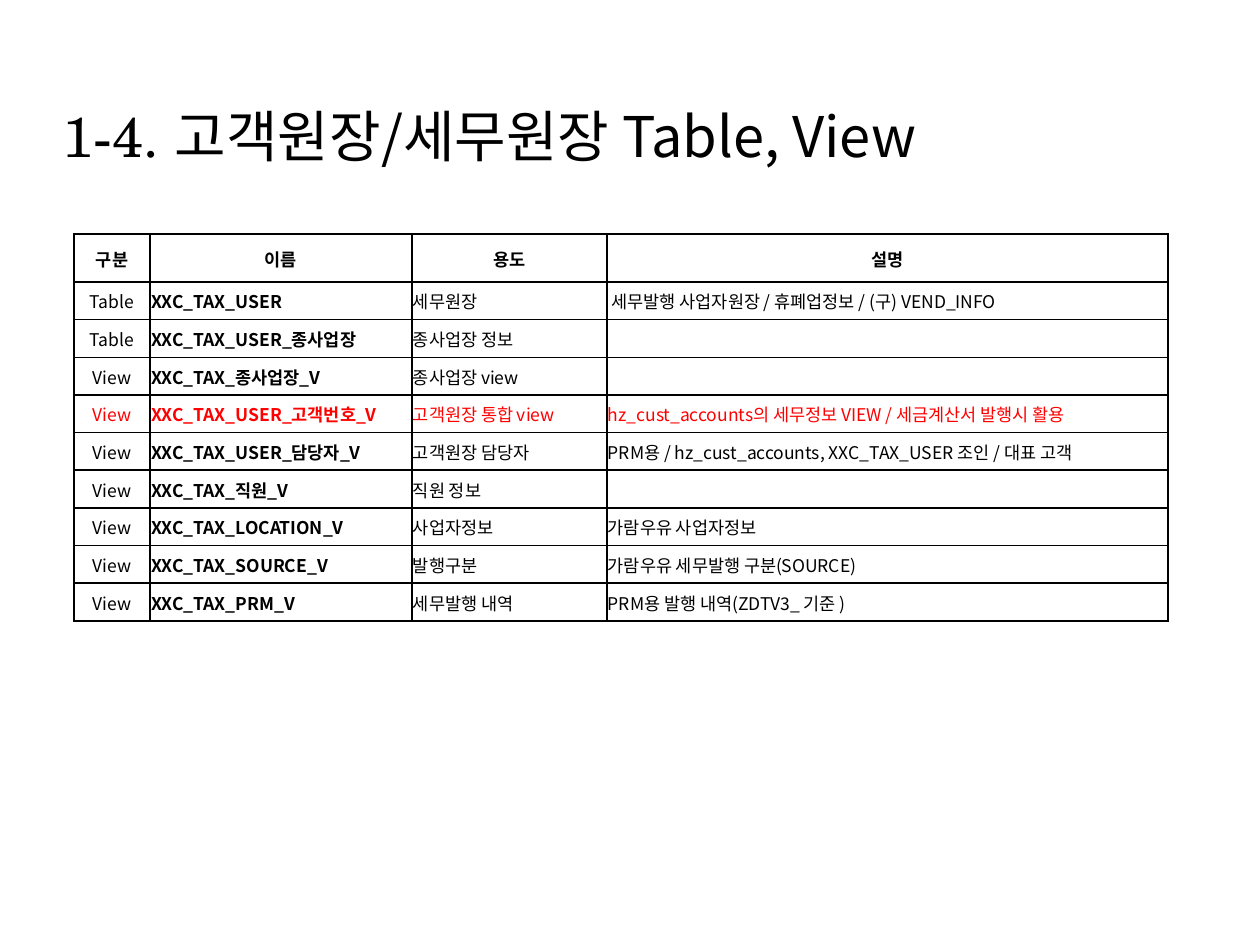
"""Build the slide that lists the customer and tax ledger tables and views."""
from lxml.etree import SubElement
from pptx import Presentation
from pptx.dml.color import RGBColor
from pptx.enum.text import MSO_ANCHOR as Anchor, PP_ALIGN as Align
from pptx.oxml.ns import qn
from pptx.util import Emu, Pt

PX = 914400 / 126
COLORS = {"black": "000000", "red": "FF0000", "white": "FFFFFF"}
SERIF, SANS = "TeX Gyre Schola", "Noto Sans CJK KR"
COLUMN_WIDTHS = [76, 262, 195, 561]
HEADER_HEIGHT, BODY_HEIGHT = 48, 339
ROWS = [
    ("구분", "이름", "용도", "설명"),
    ("Table", "XXC_TAX_USER", "세무원장", " 세무발행 사업자원장 / 휴폐업정보 / (구) VEND_INFO"),
    ("Table", "XXC_TAX_USER_종사업장", "종사업장 정보", ""),
    ("View", "XXC_TAX_종사업장_V", "종사업장 view", ""),
    ("View", "XXC_TAX_USER_고객번호_V", "고객원장 통합 view",
     "hz_cust_accounts의 세무정보 VIEW / 세금계산서 발행시 활용"),
    ("View", "XXC_TAX_USER_담당자_V", "고객원장 담당자",
     "PRM용 / hz_cust_accounts, XXC_TAX_USER 조인 / 대표 고객"),
    ("View", "XXC_TAX_직원_V", "직원 정보", ""),
    ("View", "XXC_TAX_LOCATION_V", "사업자정보", "가람우유 사업자정보"),
    ("View", "XXC_TAX_SOURCE_V", "발행구분", "가람우유 세무발행 구분(SOURCE)"),
    ("View", "XXC_TAX_PRM_V", "세무발행 내역", "PRM용 발행 내역(ZDTV3_ 기준 )"),
]
HIGHLIGHTED_ROW = 4


def px(value):
    return Emu(round(value * PX))


def format_font(font, size, name, color, bold=False):
    font.size, font.bold, font.name = Pt(size), bold, name
    font.color.rgb = RGBColor.from_string(COLORS[color])
    SubElement(font._element, qn("a:ea"), typeface=SANS)


presentation = Presentation()
presentation.slide_width, presentation.slide_height = px(1260), px(945)
slide = presentation.slides.add_slide(presentation.slide_layouts[5])

title = slide.shapes.title
title.left, title.top, title.width, title.height = px(50), px(103), px(1134), px(102)
title.text_frame.vertical_anchor = Anchor.TOP
paragraph = title.text_frame.paragraphs[0]
paragraph.alignment = Align.LEFT
paragraph.line_spacing = 0.9
for text, name in [("1-4. ", SERIF), ("고객원장/세무원장 Table, View", SANS)]:
    run = paragraph.add_run()
    run.text = text
    format_font(run.font, 32, name, "black")

table = slide.shapes.add_table(
    len(ROWS), len(COLUMN_WIDTHS), px(74), px(234),
    px(sum(COLUMN_WIDTHS)), px(HEADER_HEIGHT + BODY_HEIGHT)).table
table.first_row = table.horz_banding = False
for column, width in zip(table.columns, COLUMN_WIDTHS):
    column.width = px(width)

for row_index, texts in enumerate(ROWS):
    is_header = row_index == 0
    table.rows[row_index].height = px(
        HEADER_HEIGHT if is_header else BODY_HEIGHT / (len(ROWS) - 1))
    for column_index, text in enumerate(texts):
        cell = table.cell(row_index, column_index)
        cell.margin_left = cell.margin_top = cell.margin_right = px(1)
        cell.margin_bottom = 0
        cell.vertical_anchor = Anchor.MIDDLE
        properties = cell._tc.get_or_add_tcPr()
        for side in ("a:lnL", "a:lnR", "a:lnT", "a:lnB"):
            border = SubElement(properties, qn(side), w=str(Pt(1)))
            fill = SubElement(border, qn("a:solidFill"))
            SubElement(fill, qn("a:srgbClr"), val=COLORS["black"])
        cell.fill.solid()
        cell.fill.fore_color.rgb = RGBColor.from_string(COLORS["white"])
        paragraph = cell.text_frame.paragraphs[0]
        paragraph.alignment = Align.CENTER if is_header or column_index == 0 else Align.LEFT
        format_font(paragraph.font, 10, SERIF if is_header else SANS,
                    "red" if row_index == HIGHLIGHTED_ROW else "black",
                    is_header or column_index == 1)
        if text:
            paragraph.add_run().text = text
        else:
            SubElement(paragraph._p, qn("a:endParaRPr"), sz="1000")

presentation.save("out.pptx")
